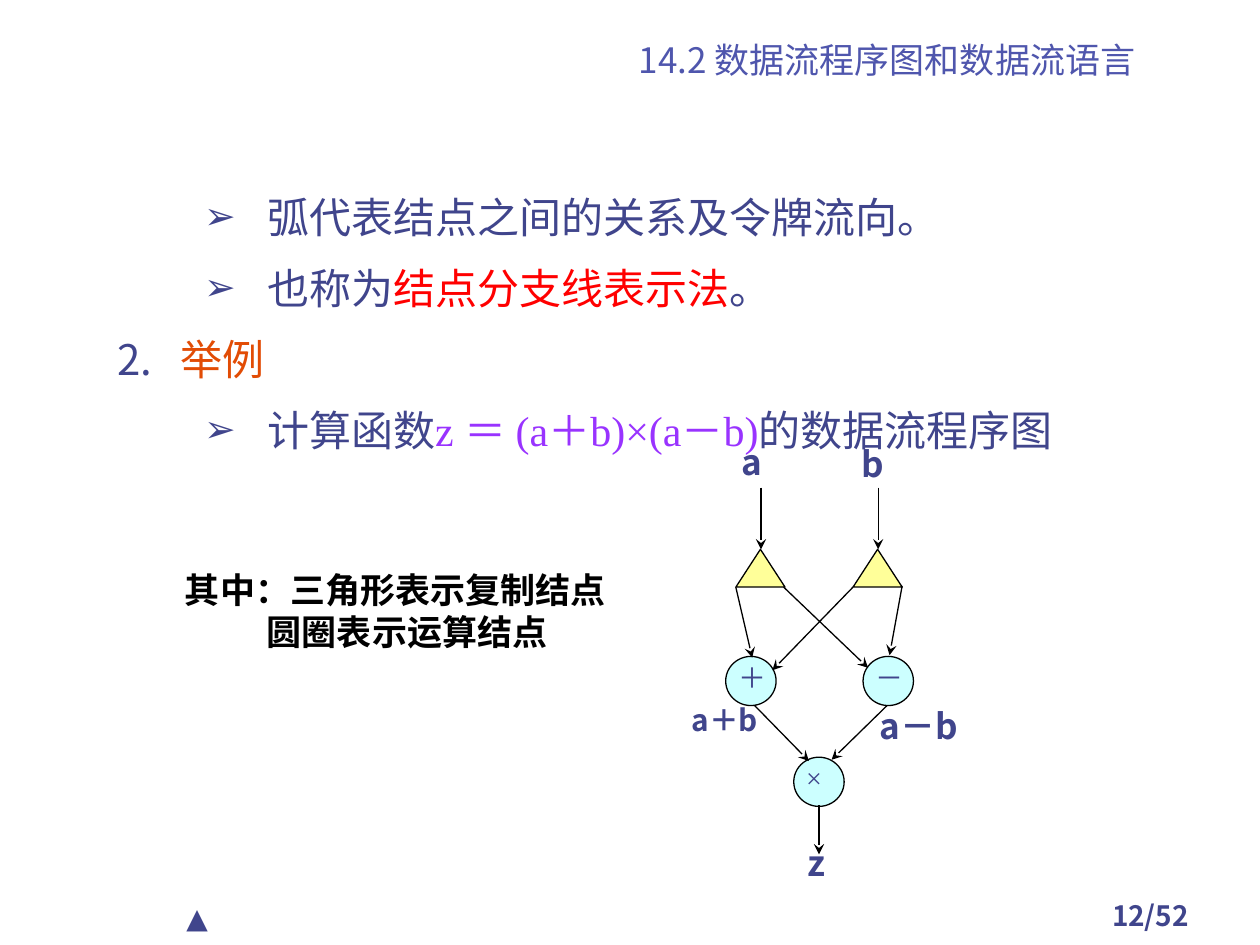
from dataclasses import dataclass

from lxml import etree
from pptx import Presentation
from pptx.dml.color import RGBColor
from pptx.enum import shapes, text
from pptx.oxml import ns
from pptx.util import Inches, Pt


@dataclass(frozen=True)
class Theme:
    ink: str = "40458C"
    title: str = "4F56AD"
    black: str = "000000"
    red: str = "FF0000"
    orange: str = "E24C05"
    purple: str = "9933FF"
    copy_node: str = "FFFF99"
    op_node: str = "CCFFFF"
    sans: str = "Noto Sans CJK SC"
    body: str = "Cabin"
    serif: str = "Times New Roman"
    body_size: int = 24
    label_size: int = 20
    sum_size: int = 17
    small_size: int = 16
    line: float = 0.75


T = Theme()
ALIGN = text.PP_ALIGN


def add_xml(parent, tag, **attrs):
    return etree.SubElement(parent, ns.qn(tag), attrs)


def rgb(color):
    return RGBColor.from_string(color)


def style(p, size, color, name, bold=False):
    """Set the type of a whole paragraph, East Asian glyphs included."""
    f = p.font
    f.size, f.bold, f.name = Pt(size), bold, name
    f.color.rgb = rgb(color)
    add_xml(p._p.pPr.find(ns.qn("a:defRPr")), "a:ea", typeface=T.sans)


def place(sp, left, top, width, height):
    sp.left, sp.top = Inches(left), Inches(top)
    sp.width, sp.height = Inches(width), Inches(height)


def add_label(s, words, box, size=T.label_size, color=T.ink, name=T.sans,
              bold=True, align=ALIGN.LEFT, spacing=None):
    tf = s.shapes.add_textbox(*map(Inches, box)).text_frame
    tf.word_wrap = True
    p = tf.paragraphs[0]
    p.text, p.alignment, p.line_spacing = words, align, spacing
    style(p, size, color, name, bold)


def add_node(s, kind, fill, left, top, width, height):
    sp = s.shapes.add_shape(kind, *map(Inches, (left, top, width, height)))
    sp.shadow.inherit = False
    sp.fill.solid()
    sp.fill.fore_color.rgb = rgb(fill)
    sp.line.color.rgb = rgb(T.black)
    sp.line.width = Pt(T.line)


def add_arrow(s, x1, y1, x2, y2):
    c = s.shapes.add_connector(shapes.MSO_CONNECTOR.STRAIGHT,
                               *map(Inches, (x1, y1, x2, y2)))
    c.line.color.rgb = rgb(T.black)
    c.line.width = Pt(T.line)
    add_xml(c.line._get_or_add_ln(), "a:tailEnd", type="stealth")
    add_xml(c._element.spPr, "a:effectLst")


def set_title(s, words):
    sp = s.shapes.title
    place(sp, 4.25, 0.27, 5.58, 0.42)
    tf = sp.text_frame
    tf.auto_size = text.MSO_AUTO_SIZE.NONE
    tf.vertical_anchor = text.MSO_ANCHOR.BOTTOM
    p = tf.paragraphs[0]
    p.text, p.alignment = words, ALIGN.CENTER
    style(p, T.label_size, T.title, T.sans)


def add_item(p, level, runs, first):
    """Write one list item: numbered on level 0, arrow bullet on level 1."""
    p.level, p.line_spacing = level, 1.2
    p.space_before = Pt(0 if first else 6)
    pPr = p._p.get_or_add_pPr()
    pPr.set("marL", str(Inches(1.19 if level else 0.5)))
    pPr.set("indent", str(Inches(-0.5)))
    add_xml(add_xml(pPr, "a:buClr"), "a:srgbClr", val=T.ink)
    if level:
        add_xml(pPr, "a:buSzPct", val="90000")
        add_xml(pPr, "a:buChar", char="➢")
    else:
        add_xml(pPr, "a:buAutoNum", type="arabicPeriod", startAt="2")
    style(p, T.body_size, T.ink, T.body)
    for words, color, name in runs:
        r = p.add_run()
        r.text = words
        if color != T.ink:
            r.font.color.rgb = rgb(color)
        if name != T.body:
            r.font.name = name


def set_body(s, items):
    sp = s.placeholders[1]
    place(sp, 0.83, 1.39, 8.5, 2.2)
    tf = sp.text_frame
    tf.auto_size = text.MSO_AUTO_SIZE.NONE
    for i, (level, runs) in enumerate(items):
        p = tf.add_paragraph() if i else tf.paragraphs[0]
        add_item(p, level, runs, first=i == 0)


def add_legend(s):
    box = s.shapes.add_textbox(*map(Inches, (0.27, 4.46, 4.73, 0.84)))
    tf = box.text_frame
    tf.word_wrap = True
    lines = (("其中：三角形表示复制结点", 1.1), ("圆圈表示运算结点", 1.75))
    for i, (words, margin) in enumerate(lines):
        p = tf.add_paragraph() if i else tf.paragraphs[0]
        p.text = words
        p._p.get_or_add_pPr().set("marL", str(Inches(margin)))
        style(p, T.label_size, T.black, T.sans, bold=True)


def add_graph(s):
    kinds = shapes.MSO_SHAPE
    # Inputs and their copy nodes
    for name, x, left, top in (("a", 6.04, 5.79, 3.45), ("b", 6.97, 6.74, 3.46)):
        add_label(s, name, (left, top, 0.54, 0.5))
        add_node(s, kinds.ISOSCELES_TRIANGLE, T.copy_node,
                 x - 0.2, 4.36, 0.39, 0.3)
        add_arrow(s, x, 3.87, x, 4.36)
    # Operation nodes
    for sign, left, top in (("＋", 5.76, 5.21), ("－", 6.85, 5.21),
                            ("×", 6.3, 6.01)):
        add_node(s, kinds.OVAL, T.op_node, left, top, 0.4, 0.39)
        add_label(s, sign, (left, top - 0.02, 0.64, 0.53),
                  T.small_size, name=T.serif, bold=False)
    # Arcs between nodes, then the output arc
    for arc in ((6.22, 4.66, 6.89, 5.3), (6.77, 4.66, 6.13, 5.32),
                (5.84, 4.66, 5.97, 5.22), (7.16, 4.65, 7.06, 5.2),
                (7.04, 5.6, 6.6, 6.03), (5.99, 5.6, 6.42, 6.04),
                (6.5, 6.39, 6.5, 6.78)):
        add_arrow(s, *arc)
    # Results
    add_label(s, "z", (6.31, 6.63, 0.54, 0.5))
    add_label(s, "a＋b", (5.39, 5.55, 0.87, 0.42), T.sum_size, spacing=0.9)
    add_label(s, "a－b", (6.88, 5.54, 1.19, 0.54))


def main():
    prs = Presentation()
    prs.slide_width, prs.slide_height = Inches(10), Inches(7.5)
    s = prs.slides.add_slide(prs.slide_layouts[1])
    # Footer
    add_label(s, "12/52", (8.42, 7.08, 1.42, 0.33), T.small_size,
              align=ALIGN.CENTER)
    add_label(s, "▲", (1.38, 7.1, 1.42, 0.37), T.small_size, name=T.body,
              bold=False)
    # Title and list
    set_title(s, "14.2 数据流程序图和数据流语言")
    set_body(s, [
        (1, [("弧代表结点之间的关系及令牌流向。", T.ink, T.body)]),
        (1, [("也称为", T.ink, T.body), ("结点分支线表示法", T.red, T.body),
             ("。", T.ink, T.body)]),
        (0, [("举例", T.orange, T.body)]),
        (1, [("计算函数", T.ink, T.body),
             ("z ＝ (a＋b)×(a－b)", T.purple, T.serif),
             ("的数据流程序图", T.ink, T.body)]),
    ])
    # Data-flow graph and its legend
    add_graph(s)
    add_legend(s)
    prs.save("out.pptx")


if __name__ == "__main__":
    main()
